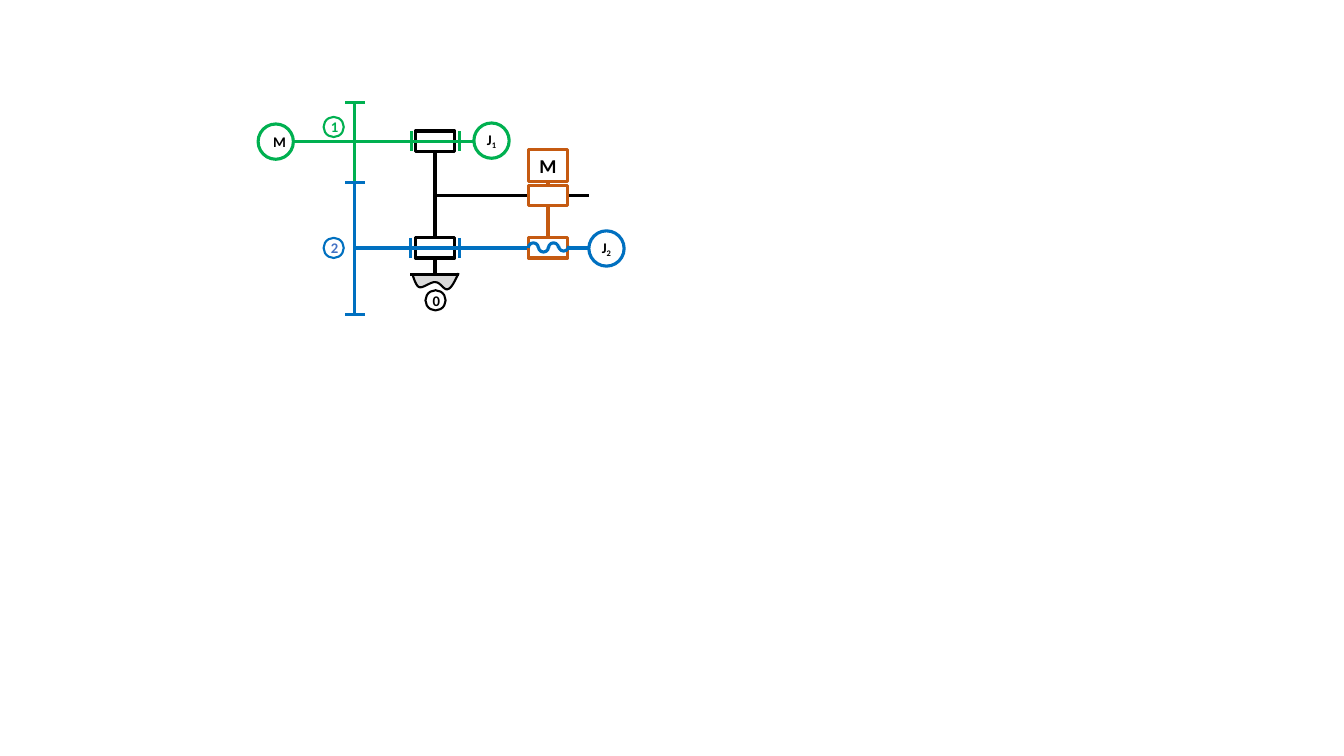
from dataclasses import dataclass

from lxml import etree
from pptx import Presentation
from pptx import util as u
from pptx.dml.color import RGBColor
from pptx.enum import shapes, text
from pptx.oxml.ns import qn

PX = 9144  # EMU in one px, 100 px to the inch
COLORS = {
    "frame": "000000", "input": "00B050", "output": "0070C0", "drive": "C55A11",
    "ground": "D9D9D9", "paper": "FFFFFF", "label2": "4472C4",
}
BOX, RING = shapes.MSO_SHAPE.RECTANGLE, shapes.MSO_SHAPE.OVAL
SITE = {"top": 0, "left": 1, "bottom": 2, "right": 3}


@dataclass
class Node:
    """A box or ring, with an optional label and subscript."""
    left: int
    top: int
    width: int
    height: int
    color: str
    kind: int = BOX
    weight: float = 2.25
    label: str = ""
    subscript: str = ""
    label_color: str = "frame"
    size: float = 10.5


def px(value: float) -> u.Emu:
    return u.Emu(round(value * PX))


def rgb(name: str) -> RGBColor:
    return RGBColor.from_string(COLORS[name])


def set_line(part, color: str, weight: float) -> None:
    part.line.color.rgb = rgb(color)
    part.line.width = u.Pt(weight)


def add_run(paragraph, content: str, node: Node):
    run = paragraph.add_run()
    run.text = content
    for key, value in {"name": "Calibri", "size": u.Pt(node.size), "bold": True}.items():
        setattr(run.font, key, value)
    run.font.color.rgb = rgb(node.label_color)
    return run


def draw_node(parent, node: Node):
    shape = parent.add_shape(node.kind, px(node.left), px(node.top), px(node.width), px(node.height))
    shape.shadow.inherit = False
    set_line(shape, node.color, node.weight)
    if node.kind == BOX:
        shape.fill.solid()
        shape.fill.fore_color.rgb = rgb("paper")
    else:
        shape.fill.background()
    if node.label:
        frame = shape.text_frame
        frame.vertical_anchor = text.MSO_ANCHOR.MIDDLE
        paragraph = frame.paragraphs[0]
        paragraph.alignment = text.PP_ALIGN.CENTER
        add_run(paragraph, node.label, node)
        if node.subscript:
            for side in ("left", "top", "right", "bottom"):
                setattr(frame, f"margin_{side}", 0)
            run = add_run(paragraph, node.subscript, node)
            run.font._element.set("baseline", "-25000")
    return shape


def draw_line(parent, x1: int, y1: int, x2: int, y2: int, color: str):
    line = parent.add_connector(shapes.MSO_CONNECTOR.STRAIGHT, px(x1), px(y1), px(x2), px(y2))
    set_line(line, color, 2.25)
    etree.SubElement(line._element.spPr, qn("a:effectLst"))
    return line


def draw_bearing(canvas, top: int, flange_left: int, color: str):
    parts = canvas.add_group_shape().shapes
    sleeve = draw_node(parts, Node(412, top, 39, 20, "frame"))
    for x in (flange_left, 456):
        draw_line(parts, x, top, x, top + 20, color)
    return sleeve


def draw_gear(canvas, top: int, bottom: int, color: str) -> None:
    parts = canvas.add_group_shape().shapes
    draw_line(parts, 352, bottom, 352, top, color)
    for y in (top, bottom):
        draw_line(parts, 362, y, 342, y, color)


def draw_ground(canvas) -> None:
    """Earth symbol: a grey area under a wavy edge of Bézier curves."""
    start = (409, 272)
    curves = (
        ((411, 278), (413, 284), (416, 285)),
        ((420, 286), (428, 279), (432, 280)),
        ((437, 280), (440, 288), (444, 287)),
        ((448, 286), (451, 279), (455, 271)),
    )
    steps = 10
    points, origin = [], start
    for curve in curves:
        knots = (origin, *curve)
        for step in range(1, steps + 1):
            t = step / steps
            weights = ((1 - t) ** 3, 3 * t * (1 - t) ** 2, 3 * t * t * (1 - t), t ** 3)
            points.append(tuple(px(sum(w * k[axis] for w, k in zip(weights, knots)))
                                for axis in (0, 1)))
        origin = curve[-1]
    builder = canvas.build_freeform(px(start[0]), px(start[1]))
    builder.add_line_segments(points, close=False)
    earth = builder.convert_to_shape()
    earth.shadow.inherit = False
    earth.fill.solid()
    earth.fill.fore_color.rgb = rgb("ground")
    set_line(earth, "frame", 1.5)


def draw_worm(canvas) -> None:
    parts = canvas.add_group_shape().shapes
    for index, top in enumerate((241, 240, 241, 239)):
        wave = parts.add_shape(shapes.MSO_SHAPE.ARC, px(524 + 10 * index), px(top), px(10), px(10))
        wave.shadow.inherit = False
        wave.fill.background()
        set_line(wave, "output", 2.25)
        wave.adjustments[0], wave.adjustments[1] = 107.78, 215.34
        wave.rotation = 180 * (index % 2)


def main() -> None:
    deck = Presentation()
    deck.slide_width, deck.slide_height = u.Inches(13.33), u.Inches(7.5)
    canvas = deck.slides.add_slide(deck.slide_layouts[6]).shapes

    arm = draw_line(canvas, 432, 194, 524, 194, "frame")
    draw_line(canvas, 544, 194, 584, 194, "frame")
    draw_ground(canvas)
    draw_line(canvas, 455, 272, 407, 272, "frame")
    lower_bearing = draw_bearing(canvas, 236, 407, "output")
    upper_bearing = draw_bearing(canvas, 130, 408, "input")
    ground_leg = draw_line(canvas, 431, 256, 431, 271, "frame")
    ground_leg.begin_connect(lower_bearing, SITE["bottom"])
    ground_leg.end_x = ground_leg.begin_x
    column = draw_line(canvas, 431, 150, 432, 236, "frame")
    column.begin_connect(upper_bearing, SITE["bottom"])
    column.end_connect(lower_bearing, SITE["top"])

    draw_line(canvas, 470, 140, 291, 140, "input")
    draw_gear(canvas, 102, 181, "input")
    draw_gear(canvas, 181, 312, "output")
    draw_line(canvas, 584, 246, 352, 246, "output")

    rings = (
        Node(256, 123, 35, 35, "input", RING, label="M"),
        Node(470, 122, 35, 35, "input", RING, label="J", subscript="1"),
        Node(584, 229, 35, 35, "output", RING, label="J", subscript="2"),
        Node(422, 288, 20, 20, "frame", RING, 1.5, "0"),
        Node(321, 116, 20, 20, "input", RING, 1.5, "1", label_color="input"),
        Node(321, 236, 20, 20, "output", RING, 1.5, "2", label_color="label2"),
    )
    for ring in rings:
        draw_node(canvas, ring)

    drive_shaft = draw_line(canvas, 544, 236, 544, 180, "drive")
    motor = draw_node(canvas, Node(524, 148, 39, 32, "drive", label="M", size=14))
    worm_box = draw_node(canvas, Node(524, 236, 39, 20, "drive"))
    drive_shaft.begin_connect(worm_box, SITE["top"])
    drive_shaft.end_connect(motor, SITE["bottom"])
    draw_worm(canvas)
    guide = draw_node(canvas, Node(524, 184, 39, 20, "drive"))
    arm.end_connect(guide, SITE["left"])

    deck.save("out.pptx")


if __name__ == "__main__":
    main()
